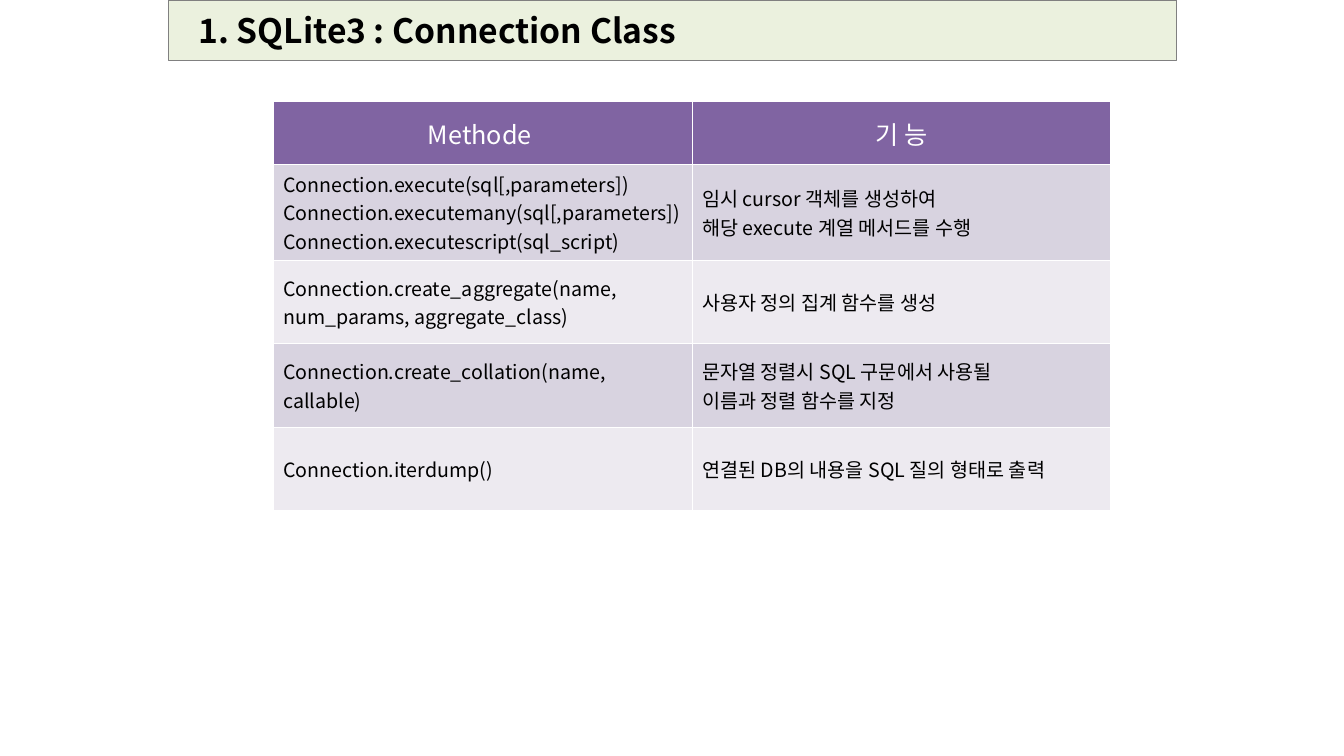
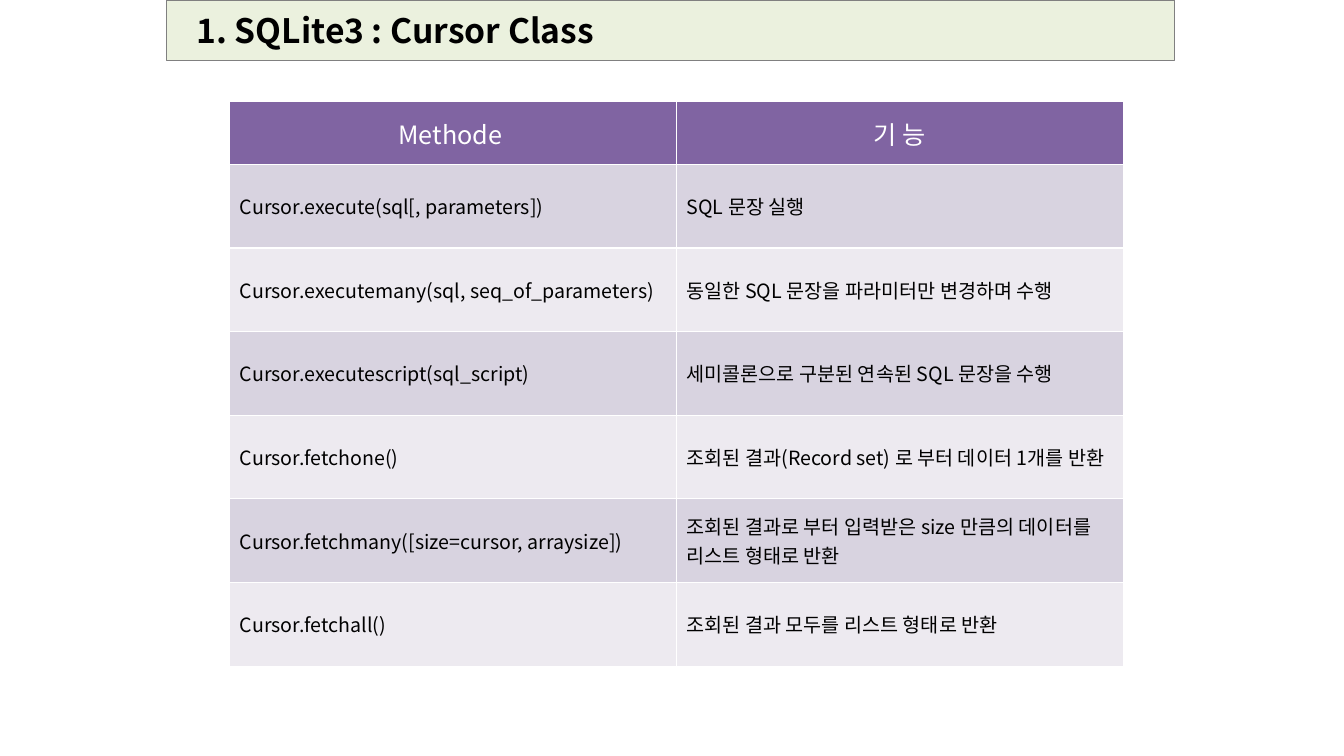
from lxml.etree import SubElement
from pptx import Presentation
from pptx.dml.color import RGBColor
from pptx.enum.shapes import MSO_SHAPE
from pptx.enum.text import MSO_ANCHOR, PP_ALIGN
from pptx.oxml.ns import qn
from pptx.util import Inches, Pt

BLACK = RGBColor(0x00, 0x00, 0x00)
WHITE = RGBColor(0xFF, 0xFF, 0xFF)
GREY = RGBColor(0x80, 0x80, 0x80)
GREEN = RGBColor(0xEB, 0xF1, 0xDE)
PURPLE = RGBColor(0x80, 0x64, 0xA2)
BANDS = [RGBColor(0xD8, 0xD3, 0xE0), RGBColor(0xED, 0xEA, 0xF0)]

FACE = "Noto Sans CJK KR"
TITLE = {"size": Pt(24), "bold": True, "color": BLACK}
HEAD = {"size": Pt(18), "bold": False, "color": WHITE}
BODY = {"size": Pt(14), "bold": False, "color": BLACK}

HEADS = ("Methode ", "기 능")
HEAD_H, ROW_H = 0.62, 0.83

CONNECTION = [
    ("Connection.execute(sql[,parameters])\n"
     "Connection.executemany(sql[,parameters])\n"
     "Connection.executescript(sql_script)",
     "임시 cursor 객체를 생성하여\n해당 execute 계열 메서드를 수행"),
    ("Connection.create_aggregate(name, num_params, aggregate_class)",
     "사용자 정의 집계 함수를 생성"),
    ("Connection.create_collation(name, callable)",
     "문자열 정렬시 SQL 구문에서 사용될\n이름과 정렬 함수를 지정"),
    ("Connection.iterdump()", "연결된 DB의 내용을 SQL 질의 형태로 출력"),
]
CURSOR = [
    ("Cursor.execute(sql[, parameters])", "SQL 문장 실행"),
    ("Cursor.executemany(sql, seq_of_parameters)",
     "동일한 SQL 문장을 파라미터만 변경하며 수행"),
    ("Cursor.executescript(sql_script)",
     "세미콜론으로 구분된 연속된 SQL 문장을 수행"),
    ("Cursor.fetchone()",
     "조회된 결과(Record set) 로 부터 데이터 1개를 반환"),
    ("Cursor.fetchmany([size=cursor, arraysize])",
     "조회된 결과로 부터 입력받은 size 만큼의 데이터를 리스트 형태로 반환"),
    ("Cursor.fetchall()", "조회된 결과 모두를 리스트 형태로 반환"),
]


def write(frame, text, style, align=PP_ALIGN.LEFT):
    """Fill a text frame, one paragraph per line of text."""
    frame.text = text
    for para in frame.paragraphs:
        para.alignment = align
        for run in para.runs:
            font = run.font
            font.name = FACE
            for key, value in style.items():
                if key == "color":
                    font.color.rgb = value
                else:
                    setattr(font, key, value)
            # Hangul takes its typeface from the East Asian font slot
            SubElement(run._r.get_or_add_rPr(), qn("a:ea"), typeface=FACE)


def add_title(slide, text, left):
    band = slide.shapes.add_shape(
        MSO_SHAPE.RECTANGLE, Inches(left), 0, Inches(10), Inches(0.6))
    band.shadow.inherit = False
    band.fill.solid()
    band.fill.fore_color.rgb = GREEN
    band.line.color.rgb = GREY
    band.line.width = Pt(1)
    frame = band.text_frame
    frame.margin_left = Inches(0.3)
    frame.vertical_anchor = MSO_ANCHOR.MIDDLE
    write(frame, text, TITLE)


def fill_row(row, texts, color, style, align):
    for cell, text in zip(row.cells, texts):
        cell.fill.solid()
        cell.fill.fore_color.rgb = color
        cell.vertical_anchor = MSO_ANCHOR.MIDDLE
        write(cell.text_frame, text, style, align)


def add_methods(slide, left, top, width, methods):
    """Table of methods; the white rules come from the table style."""
    height = HEAD_H + ROW_H * len(methods)
    table = slide.shapes.add_table(
        len(methods) + 1, len(HEADS), Inches(left), Inches(top),
        Inches(width), Inches(height)).table
    head, *body = table.rows
    head.height = Inches(HEAD_H)
    fill_row(head, HEADS, PURPLE, HEAD, PP_ALIGN.CENTER)
    for i, (row, texts) in enumerate(zip(body, methods)):
        row.height = Inches(ROW_H)
        fill_row(row, texts, BANDS[i % 2], BODY, PP_ALIGN.LEFT)


def add_page(deck, title, title_left, left, width, methods):
    slide = deck.slides.add_slide(deck.slide_layouts[6])
    add_title(slide, title, title_left)
    add_methods(slide, left, 1.01, width, methods)


def main():
    deck = Presentation()
    deck.slide_width, deck.slide_height = Inches(13.33), Inches(7.5)
    add_page(deck, "1. SQLite3 : Connection Class", 1.67, 2.71, 8.31,
             CONNECTION)
    add_page(deck, "1. SQLite3 : Cursor Class", 1.65, 2.28, 8.86, CURSOR)
    deck.save("out.pptx")


if __name__ == "__main__":
    main()
